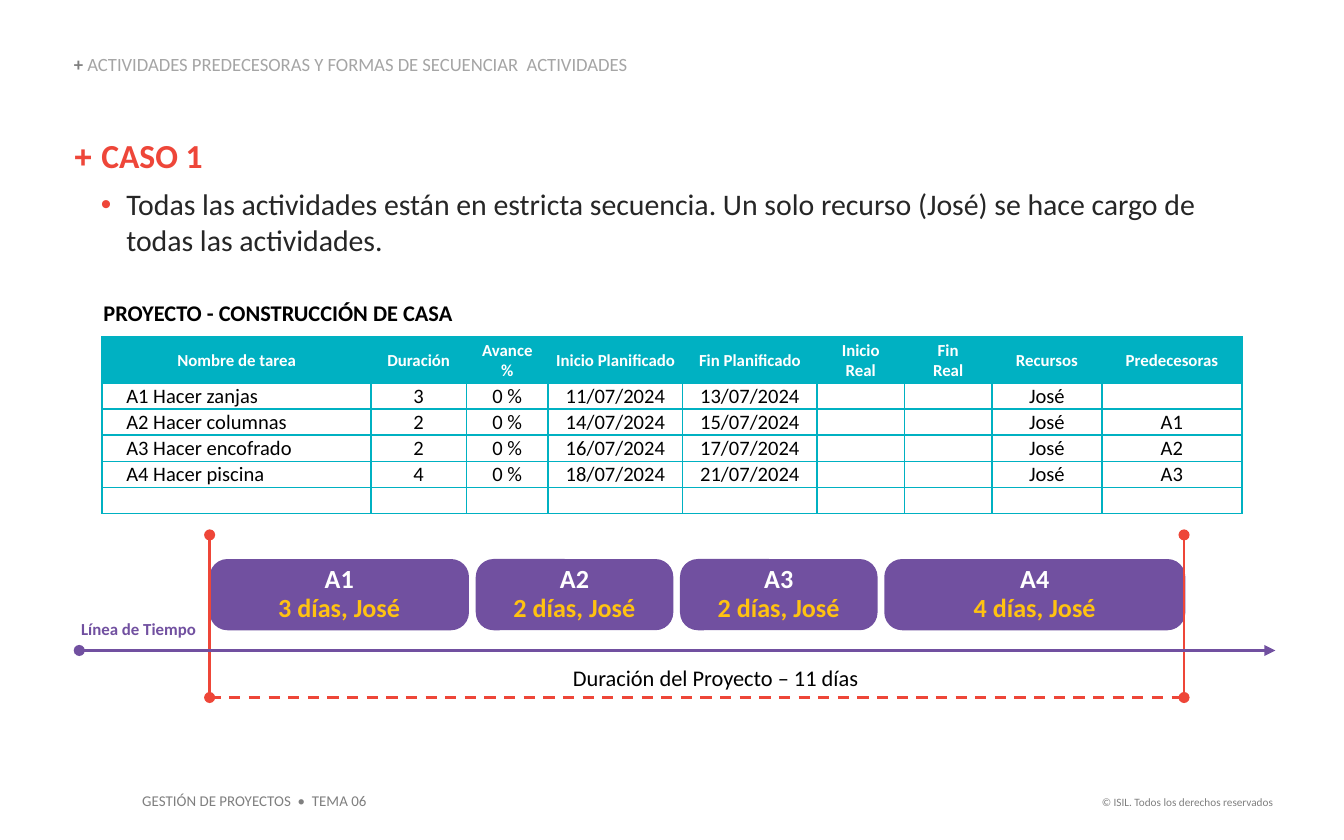
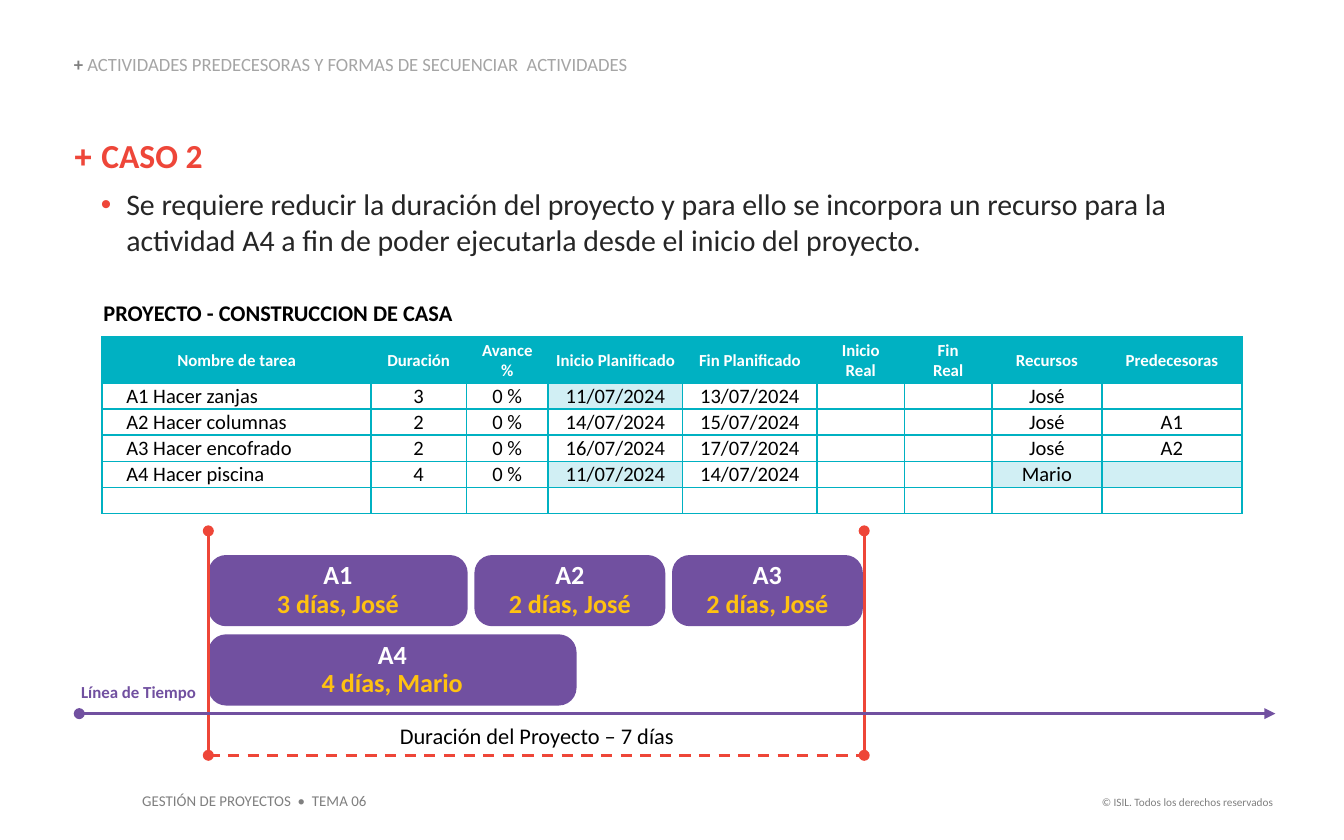
from dataclasses import dataclass
from itertools import product

from lxml.etree import SubElement
from pptx import Presentation
from pptx.dml.color import RGBColor
from pptx.enum.dml import MSO_LINE
from pptx.enum.shapes import MSO_CONNECTOR, MSO_SHAPE
from pptx.enum.text import MSO_ANCHOR, MSO_AUTO_SIZE, PP_ALIGN
from pptx.oxml.ns import qn
from pptx.util import Inches, Pt

SLIDE_WIDTH, SLIDE_HEIGHT = Inches(10), Inches(6.25)
TITLE_ONLY = 5


@dataclass(frozen=True)
class Style:
    size: float
    color: str
    bold: bool = False
    font: str = "Calibri"


@dataclass(frozen=True)
class Theme:
    red: str = "EE4638"
    purple: str = "7150A0"
    teal: str = "00B1C2"
    highlight: str = "D1EFF4"
    line_width: float = 1.5
    copyright: Style = Style(6, "7F7F7F")
    footer: Style = Style(8, "7F7F7F")
    topic_mark: Style = Style(10, "7F7F7F", True)
    topic: Style = Style(10, "A5A5A5")
    case_mark: Style = Style(17, "EE4639", True, "Arial")
    case: Style = Style(18, "EE4639", True)
    body: Style = Style(16, "262626")
    table_title: Style = Style(12, "000000", True)
    table_head: Style = Style(9, "FFFFFF", True)
    table_cell: Style = Style(11, "000000")
    bar_name: Style = Style(14, "FFFFFF", True)
    bar_detail: Style = Style(14, "FFC211", True)
    axis_label: Style = Style(9, "7150A0", True)
    caption: Style = Style(12, "000000")


@dataclass(frozen=True)
class Timeline:
    """Schedule drawing; each lane lists bars as (name, detail, width)."""
    start: float
    end: float
    top: float
    axis: float
    base: float
    caption_left: float
    caption: str
    lanes: list


THEME = Theme()
COLUMN_WIDTHS = [20, 7.1, 6.1, 10, 10, 6.5, 6.5, 8.2, 10.4]
ROW_HEIGHTS = [5.6, 5.44] + [3.04] * 5
HEADINGS = ["Nombre de tarea", "Duración", "Avance\n%", "Inicio Planificado",
            "Fin Planificado", "Inicio\nReal", "Fin\nReal", "Recursos", "Predecesoras"]
BAR_HEIGHT, BAR_GAP, LANE_PITCH = 8.48, 0.5, 9.44
POST_RISE = 2.88
AXIS_LEFT, AXIS_RIGHT = 5.9, 94.9


def across(share):
    """Length for a percentage of the slide's width."""
    return int(SLIDE_WIDTH * share / 100)


def down(share):
    """Length for a percentage of the slide's height."""
    return int(SLIDE_HEIGHT * share / 100)


def area(left, top, width, height):
    return across(left), down(top), across(width), down(height)


def rgb(color):
    return RGBColor.from_string(color)


def format_span(span, style):
    span.font.name = style.font
    span.font.size = Pt(style.size)
    span.font.bold = style.bold
    span.font.color.rgb = rgb(style.color)


def write(para, *pieces, align=PP_ALIGN.LEFT, spacing=None):
    """Fill a paragraph with (text, style) pieces."""
    para.alignment = align
    if spacing:
        para.line_spacing = spacing
    if len(pieces) == 1:
        para.text = pieces[0][0]
        for span in para.runs:
            format_span(span, pieces[0][1])
        return
    for text, style in pieces:
        span = para.add_run()
        span.text = text
        format_span(span, style)


def set_frame(frame, anchor=MSO_ANCHOR.TOP, inset=True):
    frame.word_wrap = True
    frame.auto_size = MSO_AUTO_SIZE.NONE
    frame.vertical_anchor = anchor
    frame.margin_left = frame.margin_right = Inches(0.1 if inset else 0)
    frame.margin_top = frame.margin_bottom = Inches(0.05 if inset else 0)


def add_text(page, place, text, style, align=PP_ALIGN.LEFT, inset=True):
    box = page.shapes.add_textbox(*area(*place))
    set_frame(box.text_frame, inset=inset)
    write(box.text_frame.paragraphs[0], (text, style), align=align)
    return box


def add_line(page, start, finish, color, head=None, tail=None, dashed=False):
    line = page.shapes.add_connector(
        MSO_CONNECTOR.STRAIGHT, across(start[0]), down(start[1]),
        across(finish[0]), down(finish[1]))
    line.line.color.rgb = rgb(color)
    line.line.width = Pt(THEME.line_width)
    if dashed:
        line.line.dash_style = MSO_LINE.DASH
    properties = line.element.spPr
    outline = properties.find(qn("a:ln"))
    for end, kind in (("a:headEnd", head), ("a:tailEnd", tail)):
        if kind:
            SubElement(outline, qn(end), type=kind)
    SubElement(properties, qn("a:effectLst"))


def add_footers(page, layout):
    """Build the footers and move them to the layout that all pages share."""
    footers = [
        add_text(page, (79.1, 93.92, 16.6, 3.2), "© ISIL. Todos los derechos reservados",
                 THEME.copyright, PP_ALIGN.RIGHT),
        add_text(page, (9.6, 93.44, 18.7, 3.84), "GESTIÓN DE PROYECTOS  •  TEMA 06",
                 THEME.footer),
    ]
    for box in footers:
        layout.shapes.element.append(box.element)


def set_topic(page):
    title = page.shapes.title
    title.left, title.top, title.width, title.height = area(5.5, 6.56, 45.4, 2.4)
    set_frame(title.text_frame, MSO_ANCHOR.BOTTOM, inset=False)
    write(title.text_frame.paragraphs[0], ("+ ", THEME.topic_mark),
          ("ACTIVIDADES PREDECESORAS Y FORMAS DE SECUENCIAR  ACTIVIDADES", THEME.topic),
          spacing=0.9)


def add_bullet(para):
    properties = para._p.get_or_add_pPr()
    properties.set("marL", str(Inches(0.39)))
    properties.set("indent", str(Inches(-0.19)))
    color = SubElement(properties, qn("a:buClr"))
    SubElement(color, qn("a:srgbClr"), val=THEME.case.color)
    SubElement(properties, qn("a:buFont"), typeface="Arial")
    SubElement(properties, qn("a:buChar"), char="•")


def add_case(page, name, statement):
    box = page.shapes.add_textbox(*area(5.5, 16, 85.5, 16.16))
    set_frame(box.text_frame, inset=False)
    write(box.text_frame.paragraphs[0], ("+ ", THEME.case_mark), (name, THEME.case))
    para = box.text_frame.add_paragraph()
    add_bullet(para)
    para.space_before = para.space_after = Pt(6)
    write(para, (statement, THEME.body))


def set_borders(cell, visible_sides):
    properties = cell._tc.get_or_add_tcPr()
    for side in "LRTB":
        border = SubElement(properties, qn(f"a:ln{side}"), w=str(Pt(1)))
        if side in visible_sides:
            fill = SubElement(border, qn("a:solidFill"))
            SubElement(fill, qn("a:srgbClr"), val=THEME.teal)
        else:
            SubElement(border, qn("a:noFill"))


def fill_cell(cell, text, style, align, fill=None, borders="LRTB", indent=0.01):
    set_borders(cell, borders)
    if fill:
        cell.fill.solid()
        cell.fill.fore_color.rgb = rgb(fill)
    else:
        cell.fill.background()
    cell.vertical_anchor = MSO_ANCHOR.MIDDLE
    cell.margin_left, cell.margin_right = Inches(indent), Inches(0.01)
    cell.margin_top, cell.margin_bottom = Pt(0.4), 0
    para = cell.text_frame.paragraphs[0]
    if text:
        write(para, (text, style), align=align)
    else:
        SubElement(para._p, qn("a:endParaRPr"), sz=str(style.size * 100))


def add_schedule(page, title, tasks, highlights):
    """Add the task table; highlights holds (task, column) pairs."""
    frame = page.shapes.add_table(
        len(ROW_HEIGHTS), len(COLUMN_WIDTHS),
        *area(7.6, 34.56, sum(COLUMN_WIDTHS), sum(ROW_HEIGHTS)))
    table = frame.table
    table.first_row = table.horz_banding = False
    for column, width in zip(table.columns, COLUMN_WIDTHS):
        column.width = across(width)
    for row, height in zip(table.rows, ROW_HEIGHTS):
        row.height = down(height)

    last = len(HEADINGS) - 1
    for column, heading in enumerate(HEADINGS):
        fill_cell(table.cell(0, column), "" if column else title, THEME.table_title,
                  PP_ALIGN.LEFT, borders="B")
        fill_cell(table.cell(1, column), heading, THEME.table_head,
                  PP_ALIGN.CENTER, THEME.teal)
    table.cell(0, 0).merge(table.cell(0, last))

    rows = tasks + [[""] * len(HEADINGS)]
    for row, column in product(range(len(rows)), range(len(HEADINGS))):
        is_name = column == 0
        fill_cell(table.cell(row + 2, column), rows[row][column], THEME.table_cell,
                  PP_ALIGN.LEFT if is_name else PP_ALIGN.CENTER,
                  THEME.highlight if (row, column) in highlights else None,
                  indent=0.18 if is_name else 0.01)


def add_bar(page, place, name, detail):
    bar = page.shapes.add_shape(MSO_SHAPE.ROUNDED_RECTANGLE, *area(*place))
    bar.adjustments[0] = 0.25
    bar.shadow.inherit = False
    bar.fill.solid()
    bar.fill.fore_color.rgb = rgb(THEME.purple)
    bar.line.fill.background()
    frame = bar.text_frame
    set_frame(frame, MSO_ANCHOR.MIDDLE)
    write(frame.paragraphs[0], (name, THEME.bar_name), align=PP_ALIGN.CENTER, spacing=0.9)
    write(frame.add_paragraph(), (detail, THEME.bar_detail), align=PP_ALIGN.CENTER,
          spacing=0.9)


def add_timeline(page, plan):
    add_line(page, (plan.start, plan.base), (plan.end, plan.base), THEME.red, dashed=True)
    for lane, bars in enumerate(plan.lanes):
        left = plan.start
        for name, detail, width in bars:
            add_bar(page, (left, plan.top + lane * LANE_PITCH, width, BAR_HEIGHT),
                    name, detail)
            left += width + BAR_GAP
    for post in (plan.end, plan.start):
        add_line(page, (post, plan.top - POST_RISE), (post, plan.base), THEME.red,
                 "oval", "oval")
    add_line(page, (AXIS_LEFT, plan.axis), (AXIS_RIGHT, plan.axis), THEME.purple,
             "oval", "triangle")
    add_text(page, (AXIS_LEFT, plan.axis - 3.76, 8.8, 2.56), "Línea de Tiempo",
             THEME.axis_label, PP_ALIGN.CENTER, inset=False)
    add_text(page, (plan.caption_left, plan.base - 4.72, 33.9, 4.8), plan.caption,
             THEME.caption, PP_ALIGN.CENTER)


def task(name, days, start, finish, resource, predecessor=""):
    return [name, days, "0 %", f"{start}/07/2024", f"{finish}/07/2024", "", "",
            resource, predecessor]


def main():
    deck = Presentation()
    deck.slide_width, deck.slide_height = SLIDE_WIDTH, SLIDE_HEIGHT
    layout = deck.slide_layouts[TITLE_ONLY]
    shared_tasks = [
        task("A1 Hacer zanjas", "3", 11, 13, "José"),
        task("A2 Hacer columnas", "2", 14, 15, "José", "A1"),
        task("A3 Hacer encofrado", "2", 16, 17, "José", "A2"),
    ]
    cases = [
        ("CASO 1",
         "Todas las actividades están en estricta secuencia. Un solo recurso (José) "
         "se hace cargo de todas las actividades.",
         "PROYECTO - CONSTRUCCIÓN DE CASA",
         task("A4 Hacer piscina", "4", 18, 21, "José", "A3"), set(),
         Timeline(15.6, 88.1, 66.56, 77.44, 83.04, 36.3, "Duración del Proyecto – 11 días",
                  [[("A1", "3 días, José", 19.3), ("A2", "2 días, José", 14.7),
                    ("A3", "2 días, José", 14.7), ("A4", "4 días, José", 22.4)]])),
        ("CASO 2",
         "Se requiere reducir la duración del proyecto y para ello se incorpora un recurso "
         "para la actividad A4 a fin de poder ejecutarla desde el inicio del proyecto.",
         "PROYECTO - CONSTRUCCION DE CASA",
         task("A4 Hacer piscina", "4", 11, 14, "Mario"), {(0, 3), (3, 3), (3, 7), (3, 8)},
         Timeline(15.5, 64.3, 66.08, 84.96, 89.92, 23, "Duración del Proyecto – 7 días",
                  [[("A1", "3 días, José", 19.3), ("A2", "2 días, José", 14.2),
                    ("A3", "2 días, José", 14.2)],
                   [("A4", "4 días, Mario", 27.4)]])),
    ]
    for name, statement, table_title, last_task, highlights, plan in cases:
        page = deck.slides.add_slide(layout)
        set_topic(page)
        add_case(page, name, statement)
        add_schedule(page, table_title, shared_tasks + [last_task], highlights)
        add_timeline(page, plan)
    add_footers(page, layout)
    deck.save("out.pptx")


if __name__ == "__main__":
    main()
